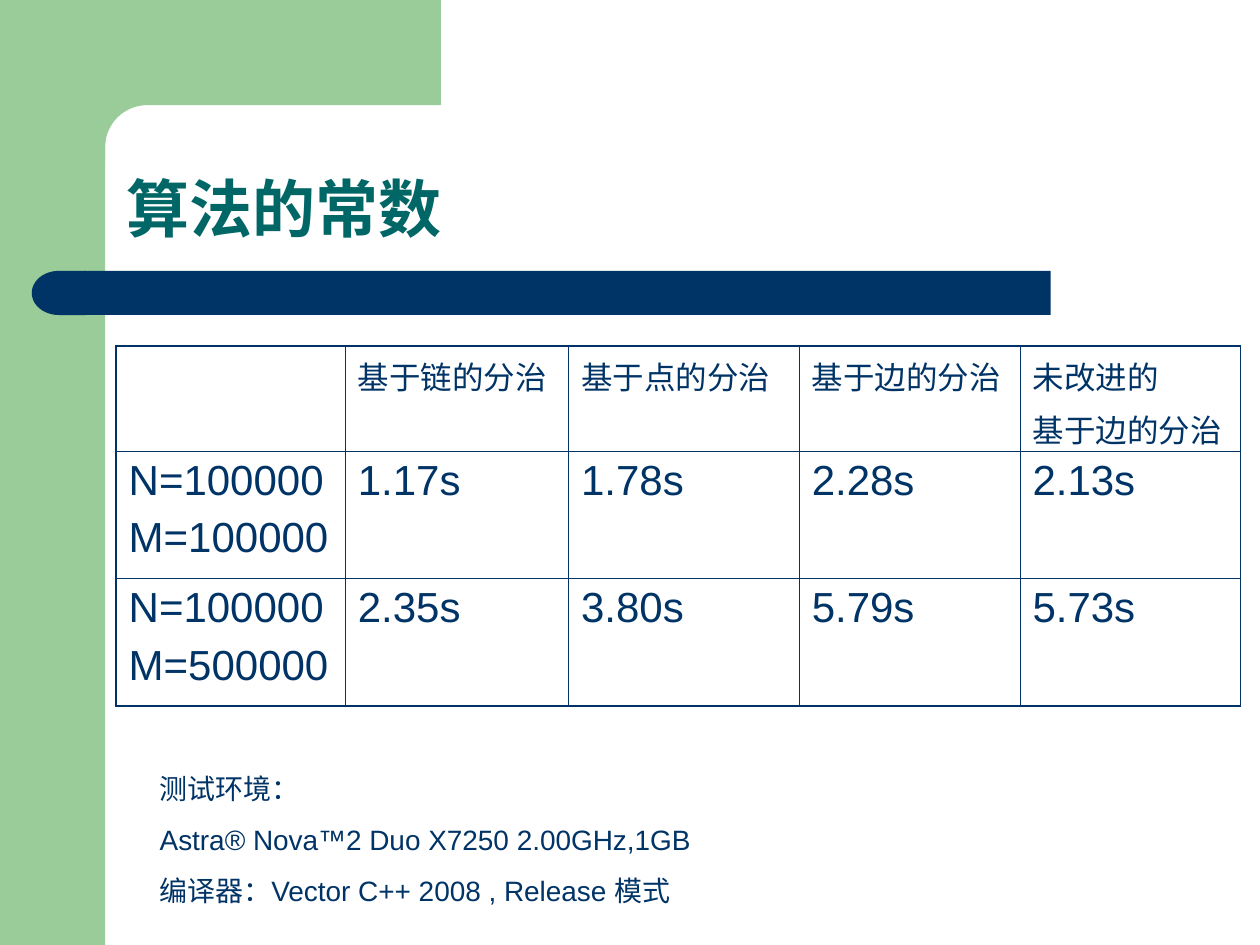
from math import cos, pi, sin

from lxml.etree import SubElement
from pptx import Presentation
from pptx.dml.color import RGBColor
from pptx.enum.shapes import MSO_SHAPE as Preset
from pptx.enum.text import MSO_ANCHOR as Anchor
from pptx.oxml.ns import qn
from pptx.util import Cm, Pt

COLORS = {"green": "99CC99", "navy": "003366", "teal": "006666"}
FONT = "Arial"


def paint(shape, color):
    """Give the shape a solid fill without line or shadow."""
    shape.fill.solid()
    shape.fill.fore_color.rgb = RGBColor.from_string(COLORS[color])
    shape.line.fill.background()
    shape.shadow.inherit = False


def write(frame, lines, color="navy", bold=False, size=18, **paragraph_format):
    """Put one paragraph per line into the text frame."""
    frame.word_wrap = True
    frame.text = "\n".join(lines)
    for paragraph in frame.paragraphs:
        for name, value in paragraph_format.items():
            setattr(paragraph, name, value)
        for run in paragraph.runs:
            for name, value in {"name": FONT, "size": Pt(size), "bold": bold}.items():
                setattr(run.font, name, value)
            run.font.color.rgb = RGBColor.from_string(COLORS[color])


presentation = Presentation()
presentation.slide_width, presentation.slide_height = Cm(25.4), Cm(19.05)
slide = presentation.slides.add_slide(presentation.slide_layouts[6])
shapes = slide.shapes

# Green side band and top block, with a rounded inner corner
side_band = shapes.add_shape(Preset.RECTANGLE, 0, 0, Cm(2.12), Cm(19.05))
paint(side_band, "green")

inner, radius, steps = 2.12, 0.85, 16
center = inner + radius
corner = []
for step in range(steps + 1):
    angle = pi / 2 * step / steps
    corner.append((center - radius * sin(angle), center - radius * cos(angle)))
outline = [(8.89, 0), (8.89, inner), *corner, (inner, 3.25), (1.27, 3.25), (1.27, 0)]
points = [(Cm(x), Cm(y)) for x, y in outline]
builder = shapes.build_freeform(*points[0], scale=1.0)
builder.add_line_segments(points[1:], close=True)
paint(builder.convert_to_shape(), "green")

# Navy bar with a round left end
bar = shapes.add_shape(Preset.RECTANGLE, Cm(1.7), Cm(5.46), Cm(19.48), Cm(0.89))
paint(bar, "navy")
bar_end = shapes.add_shape(Preset.FLOWCHART_DELAY, Cm(0.64), Cm(5.46), Cm(1.09), Cm(0.89))
bar_end.rotation = 180
paint(bar_end, "navy")

title = shapes.add_textbox(Cm(2.31), Cm(2.31), Cm(21.62), Cm(2.77))
title.text_frame.vertical_anchor = Anchor.BOTTOM
write(title.text_frame, ["算法的常数"], color="teal", bold=True, size=36, line_spacing=0.9)

environment = shapes.add_textbox(Cm(2.97), Cm(15.42), Cm(19.05), Cm(3))
environment_lines = [
    "测试环境：",
    "Astra® Nova™2 Duo X7250 2.00GHz,1GB",
    "编译器：Vector C++ 2008 , Release 模式",
]
write(environment.text_frame, environment_lines, size=16, space_before=Pt(10))

# Running times
rows = [
    [[], ["基于链的分治"], ["基于点的分治"], ["基于边的分治"], ["未改进的", "基于边的分治"]],
    [["N=100000", "M=100000"], ["1.17s"], ["1.78s"], ["2.28s"], ["2.13s"]],
    [["N=100000", "M=500000"], ["2.35s"], ["3.80s"], ["5.79s"], ["5.73s"]],
]
column_widths = [4.62, 4.5, 4.65, 4.45, 4.45]
row_heights = [2.11, 2.57, 2.57]
table = shapes.add_table(
    len(rows), len(column_widths), Cm(2.34), Cm(6.98),
    Cm(sum(column_widths)), Cm(sum(row_heights)),
).table
table.first_row = table.horz_banding = False
for column, width in zip(table.columns, column_widths):
    column.width = Cm(width)
for row, height in zip(table.rows, row_heights):
    row.height = Cm(height)

last_row, last_column = len(rows) - 1, len(column_widths) - 1
for r, row in enumerate(rows):
    for c, lines in enumerate(row):
        cell = table.cell(r, c)
        size = 18 if r == 0 else 24
        write(cell.text_frame, lines, size=size, space_before=Pt(size / 4))
        cell.fill.background()
        properties = cell._tc.get_or_add_tcPr()
        outer_sides = {
            "lnL": c == 0, "lnR": c == last_column,
            "lnT": r == 0, "lnB": r == last_row,
        }
        for position, (side, is_outer) in enumerate(outer_sides.items()):
            width = Pt(1.08 if is_outer else 0.45)
            border = SubElement(properties, qn(f"a:{side}"), w=str(width))
            fill = SubElement(border, qn("a:solidFill"))
            SubElement(fill, qn("a:srgbClr"), val=COLORS["navy"])
            properties.insert(position, border)

presentation.save("out.pptx")
